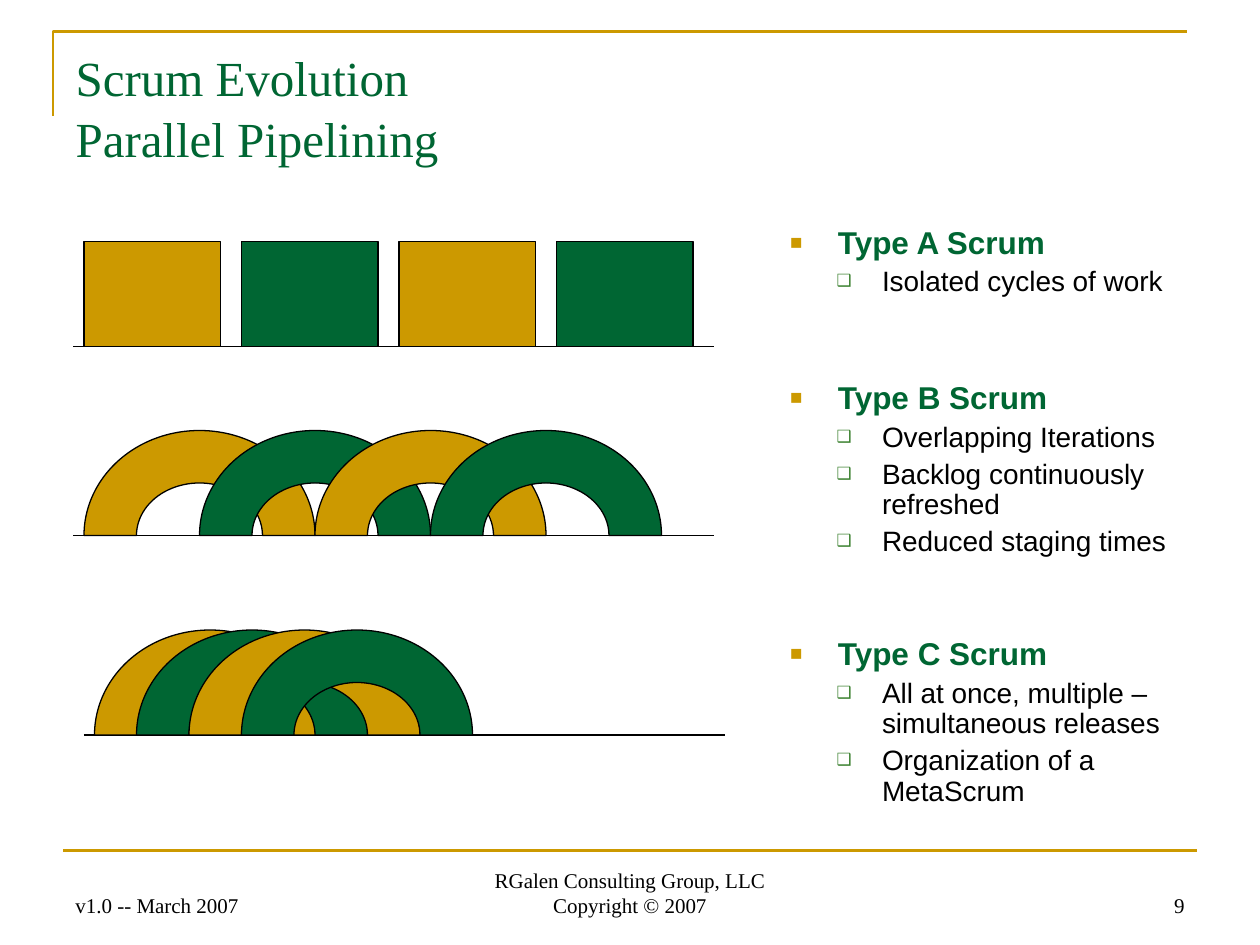
from lxml import etree
from pptx import Presentation, util as u
from pptx.dml.color import RGBColor
from pptx.enum import shapes, text
from pptx.oxml.ns import qn

COLORS = {"gold": "CC9900", "green": "006633", "leaf": "3B812F", "black": "000000"}
SERIF, SANS = "Times New Roman", "Arial"
CELL = u.Inches(1 / 12)

TITLE = "Scrum Evolution\vParallel Pipelining"
TOPICS = [
    ("Type A Scrum", 0, ["Isolated cycles of work"]),
    ("Type B Scrum", 48, ["Overlapping Iterations", "Backlog continuously refreshed",
                          "Reduced staging times"]),
    ("Type C Scrum", 46, ["All at once, multiple – simultaneous releases",
                          "Organization of a MetaScrum"]),
]
BLOCK, ARC = shapes.MSO_SHAPE.RECTANGLE, shapes.MSO_SHAPE.BLOCK_ARC
TIMELINES = [
    {"kind": BLOCK, "columns": (8, 23, 38, 53), "size": (13, 10), "top": 23, "start": 7},
    {"kind": ARC, "columns": (8, 19, 30, 41), "size": (22, 20), "top": 41, "start": 7},
    {"kind": ARC, "columns": (9, 13, 18, 23), "size": (22, 20), "top": 60, "start": 8},
]
TIMELINE_LENGTH, RISE = 61, 10
FOOTERS = [
    ("v1.0 -- March 2007", 6, 28, text.PP_ALIGN.LEFT),
    ("RGalen Consulting Group, LLC\vCopyright © 2007", 41, 38, text.PP_ALIGN.CENTER),
    ("9", 86, 28, text.PP_ALIGN.RIGHT),
]
LEVELS = [
    {"indent": 0.38, "hang": 0.38, "mark": "■", "mark_color": "gold", "mark_size": 65,
     "size": 18, "color": "green", "bold": True},
    {"indent": 0.73, "hang": 0.36, "mark": "❑", "mark_color": "leaf", "mark_size": 60,
     "size": 16, "color": "black", "bold": False},
]


def rgb(name):
    return RGBColor.from_string(COLORS[name])


def style_runs(para, size, font, color, bold=False):
    for span in para.runs:
        span.font.size, span.font.name, span.font.bold = u.Pt(size), font, bold
        span.font.color.rgb = rgb(color)


def style_line(line, color, width):
    line.color.rgb = rgb(color)
    line.width = u.Pt(width)


def place(shape, left, top, width, height):
    shape.left, shape.top, shape.width, shape.height = map(
        u.Inches, (left, top, width, height))


def add_rule(page, left, right, top, color, width):
    rule = page.shapes.add_connector(
        shapes.MSO_CONNECTOR.STRAIGHT, left, top, right, top)
    style_line(rule.line, color, width)
    etree.SubElement(rule.element.spPr, qn("a:effectLst"))


def add_frame(page):
    builder = page.shapes.build_freeform(u.Inches(0.42), u.Inches(0.92))
    builder.add_line_segments(
        [(u.Inches(0.42), u.Inches(0.25)), (u.Inches(9.42), u.Inches(0.25))], close=False)
    corner = builder.convert_to_shape()
    corner.fill.background()
    corner.shadow.inherit = False
    style_line(corner.line, "gold", 1.5)
    add_rule(page, u.Inches(0.5), u.Inches(9.5), u.Inches(6.75), "gold", 1.5)


def fill_title(box):
    place(box, 0.5, 0.3, 9, 1.25)
    frame = box.text_frame
    frame.auto_size = text.MSO_AUTO_SIZE.NONE
    frame.vertical_anchor = text.MSO_ANCHOR.TOP
    para = frame.paragraphs[0]
    para.text = TITLE
    para.alignment = text.PP_ALIGN.LEFT
    para.line_spacing = 1.05
    style_runs(para, 28, SERIF, "green")


def add_bullet(para, level):
    props = para._p.get_or_add_pPr()
    props.set("marL", str(u.Inches(level["indent"])))
    props.set("indent", str(-u.Inches(level["hang"])))
    color = etree.SubElement(props, qn("a:buClr"))
    etree.SubElement(color, qn("a:srgbClr"), val=COLORS[level["mark_color"]])
    etree.SubElement(props, qn("a:buSzPct"), val=str(level["mark_size"] * 1000))
    etree.SubElement(props, qn("a:buFont"), typeface=SANS)
    etree.SubElement(props, qn("a:buChar"), char=level["mark"])


def fill_body(box):
    place(box, 6.17, 1.75, 3.33, 4.95)
    frame = box.text_frame
    frame.auto_size = text.MSO_AUTO_SIZE.NONE
    frame.vertical_anchor = text.MSO_ANCHOR.TOP
    rows = []
    for heading, gap, points in TOPICS:
        rows.append((heading, 0, gap))
        rows += [(point, 1, 4) for point in points]
    for index, (words, depth, gap) in enumerate(rows):
        para = frame.add_paragraph() if index else frame.paragraphs[0]
        level = LEVELS[depth]
        para.text = words
        para.level = depth
        add_bullet(para, level)
        para.line_spacing, para.space_before, para.space_after = 0.9, u.Pt(gap), u.Pt(0)
        style_runs(para, level["size"], SANS, level["color"], level["bold"])


def add_timeline(page, row):
    width, height = row["size"]
    add_rule(page, row["start"] * CELL, (row["start"] + TIMELINE_LENGTH) * CELL,
             (row["top"] + RISE) * CELL, "black", 0.75)
    for index, column in enumerate(row["columns"]):
        cycle = page.shapes.add_shape(
            row["kind"], column * CELL, row["top"] * CELL, width * CELL, height * CELL)
        cycle.shadow.inherit = False
        cycle.fill.solid()
        cycle.fill.fore_color.rgb = rgb(("gold", "green")[index % 2])
        style_line(cycle.line, "black", 0.75)


def add_footer(page, words, column, width, alignment):
    box = page.shapes.add_textbox(column * CELL, 82 * CELL, width * CELL, 6 * CELL)
    frame = box.text_frame
    frame.word_wrap = True
    frame.vertical_anchor = text.MSO_ANCHOR.BOTTOM
    para = frame.paragraphs[0]
    para.text = words
    para.alignment = alignment
    style_runs(para, 12, SERIF, "black")


def main():
    deck = Presentation()
    deck.slide_width, deck.slide_height = u.Inches(10), u.Inches(7.5)
    page = deck.slides.add_slide(deck.slide_layouts[1])
    add_frame(page)
    fill_title(page.shapes.title)
    fill_body(page.placeholders[1])
    for row in TIMELINES:
        add_timeline(page, row)
    for footer in FOOTERS:
        add_footer(page, *footer)
    deck.save("out.pptx")


if __name__ == "__main__":
    main()
